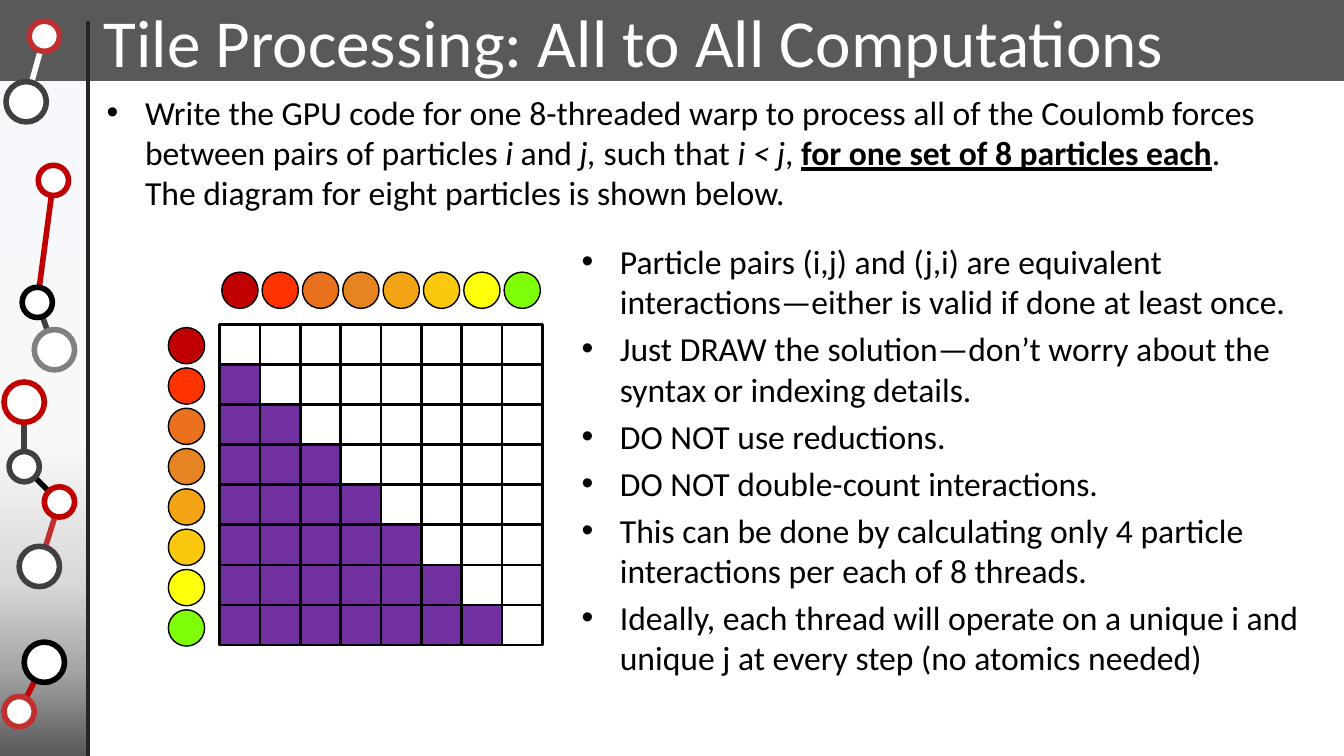
from lxml.etree import SubElement
from pptx import Presentation
from pptx.dml.color import RGBColor
from pptx.enum.shapes import MSO_CONNECTOR as CONNECTOR, MSO_SHAPE as SHAPE
from pptx.enum.text import MSO_AUTO_SIZE as AUTO_SIZE
from pptx.oxml.ns import qn
from pptx.util import Inches, Pt

FONT = "Calibri"
BLACK, WHITE, GRAY = "000000", "FFFFFF", "595959"
RED, PALE_RED, DARK = "C00000", "C03030", "404040"
PURPLE = "7030A0"
PARTICLES = ["C00000", "FF3300", "EA711E", "E68422",
             "F3A415", "FBC80D", "FFFF09", "7EFF09"]
SIDEBAR_STOPS = [(0, "F6F8FC"), (53, "F8F8F8"), (74, "D9D9D9"),
                 (87, "A6A6A6"), (100, GRAY)]
NODES = [
    (0.44, 0.36, 0.3, PALE_RED),
    (0.26, 1.01, 0.4, DARK),
    (0.53, 1.79, 0.3, RED),
    (0.37, 3.0, 0.3, BLACK),
    (0.54, 3.47, 0.4, "808080"),
    (0.24, 3.99, 0.4, RED),
    (0.24, 4.63, 0.3, DARK),
    (0.59, 4.98, 0.3, RED),
    (0.39, 5.62, 0.4, DARK),
    (0.44, 6.57, 0.4, BLACK),
    (0.19, 7.06, 0.3, PALE_RED),
]
LINKS = [(10, 9, RED), (7, 8, PALE_RED), (7, 6, BLACK), (3, 4, DARK),
         (3, 2, RED), (0, 1, WHITE), (5, 6, DARK)]
TASK = [
    ("Write the GPU code for one 8-threaded warp to process all of the "
     "Coulomb forces between pairs of particles ", ""),
    ("i", "italic"),
    (" and ", ""),
    ("j, ", "italic"),
    ("such that ", ""),
    ("i < j", "italic"),
    (", ", ""),
    ("for one set of 8 particles each", "strong"),
    (".", ""),
    ("The diagram for eight particles is shown below.", "new line"),
]
HINTS = [
    "Particle pairs (i,j) and (j,i) are equivalent interactions—either is "
    "valid if done at least once.",
    "Just DRAW the solution—don’t worry about the syntax or indexing details.",
    "DO NOT use reductions.",
    "DO NOT double-count interactions.",
    "This can be done by calculating only 4 particle interactions per each "
    "of 8 threads.",
    "Ideally, each thread will operate on a unique i and unique j at every "
    "step (no atomics needed)",
]


def color(value):
    return RGBColor.from_string(value)


def add_figure(slide, kind, left, top, width, height, fill, line=None, weight=1):
    shape = slide.shapes.add_shape(
        kind, Inches(left), Inches(top), Inches(width), Inches(height))
    shape.shadow.inherit = False
    shape.fill.solid()
    shape.fill.fore_color.rgb = color(fill)
    if line:
        shape.line.color.rgb = color(line)
        shape.line.width = Pt(weight)
    else:
        shape.line.fill.background()
    return shape


def add_line(slide, start, end, line, weight):
    connector = slide.shapes.add_connector(
        CONNECTOR.STRAIGHT, *(Inches(value) for value in (*start, *end)))
    connector.line.color.rgb = color(line)
    connector.line.width = Pt(weight)
    SubElement(connector.element.spPr, qn("a:effectLst"))


def add_text_frame(slide, left, top, width, height, wrap=True):
    box = slide.shapes.add_textbox(
        Inches(left), Inches(top), Inches(width), Inches(height))
    box.text_frame.word_wrap = wrap
    return box.text_frame


def format_run(run, size, fill):
    run.font.name = FONT
    run.font.size = Pt(size)
    run.font.color.rgb = color(fill)


def format_bullet(paragraph):
    paragraph.space_before = Pt(4.8)
    properties = paragraph._p.get_or_add_pPr()
    properties.set("marL", str(Inches(0.38)))
    properties.set("indent", str(-Inches(0.38)))
    SubElement(properties, qn("a:buFont"), typeface="Arial")
    SubElement(properties, qn("a:buChar"), char="•")


def fill_gradient(shape, stops):
    shape.fill.gradient()
    shape.fill.gradient_angle = 270
    stop_list = next(shape.element.iter(qn("a:gsLst")))
    stop_list.clear()
    for position, value in stops:
        stop = SubElement(stop_list, qn("a:gs"), pos=str(position * 1000))
        SubElement(stop, qn("a:srgbClr"), val=value)


def add_sidebar(slide, left, top, width, height):
    for start, end, line in LINKS:
        ends = [(left + x, top + y) for x, y, *_ in (NODES[start], NODES[end])]
        add_line(slide, *ends, line, 4)
    for x, y, size, line in NODES:
        add_figure(slide, SHAPE.OVAL, left + x - size / 2, top + y - size / 2,
                   size, size, WHITE, line, 4)
    add_line(slide, (left + width, top + 0.21), (left + width, top + height),
             "262626", 3)


def add_background(slide, left, top, width, height, bar_height, sidebar_width):
    panel = add_figure(slide, SHAPE.RECTANGLE, left, top + bar_height,
                       sidebar_width, height - bar_height, WHITE)
    fill_gradient(panel, SIDEBAR_STOPS)
    add_figure(slide, SHAPE.RECTANGLE, left, top, width, bar_height, GRAY, GRAY)


def add_title(slide, left, top, width, height):
    frame = add_text_frame(slide, left, top, width, height, wrap=False)
    frame.auto_size = AUTO_SIZE.SHAPE_TO_FIT_TEXT
    frame.text = "Tile Processing: All to All Computations"
    format_run(frame.paragraphs[0].runs[0], 48, WHITE)


def add_task(slide, left, top, width, height):
    paragraph = add_text_frame(slide, left, top, width, height).paragraphs[0]
    format_bullet(paragraph)
    for text, style in TASK:
        if style == "new line":
            paragraph.add_line_break()
        run = paragraph.add_run()
        run.text = text
        format_run(run, 24, BLACK)
        run.font.italic = style == "italic"
        run.font.bold = run.font.underline = style == "strong"


def add_hints(slide, left, top, width, height):
    frame = add_text_frame(slide, left, top, width, height)
    frame.text = "\n".join(HINTS)
    for paragraph in frame.paragraphs:
        format_bullet(paragraph)
        format_run(paragraph.runs[0], 24, BLACK)


def add_pair_diagram(slide, left, top, width, height):
    grid_left, grid_top = left + 0.51, top + 0.52
    count = len(PARTICLES)
    cell_width = (left + width - grid_left) / count
    cell_height = (top + height - grid_top) / count
    for row in range(count):
        for column in range(count):
            add_figure(slide, SHAPE.RECTANGLE,
                       grid_left + column * cell_width,
                       grid_top + row * cell_height, cell_width, cell_height,
                       PURPLE if column < row else WHITE, BLACK, 2)
    for index, fill in enumerate(PARTICLES):
        offset = index * 0.4
        for x, y in ((grid_left + 0.02 + offset, top),
                     (left, grid_top + 0.03 + offset)):
            add_figure(slide, SHAPE.OVAL, x, y, 0.36, 0.36, fill, BLACK)


def main():
    presentation = Presentation()
    presentation.slide_width = Inches(13.33)
    presentation.slide_height = Inches(7.5)
    slide = presentation.slides.add_slide(presentation.slide_layouts[6])
    add_background(slide, 0, 0, 13.33, 7.5, 0.8, 0.87)
    add_sidebar(slide, 0, 0, 0.87, 7.5)
    add_title(slide, 0.93, -0.05, 10.99, 0.91)
    add_task(slide, 0.96, 0.86, 11.89, 1.53)
    add_hints(slide, 5.67, 2.34, 7.33, 4.06)
    add_pair_diagram(slide, 1.67, 2.7, 3.71, 3.7)
    presentation.save("out.pptx")


if __name__ == "__main__":
    main()
